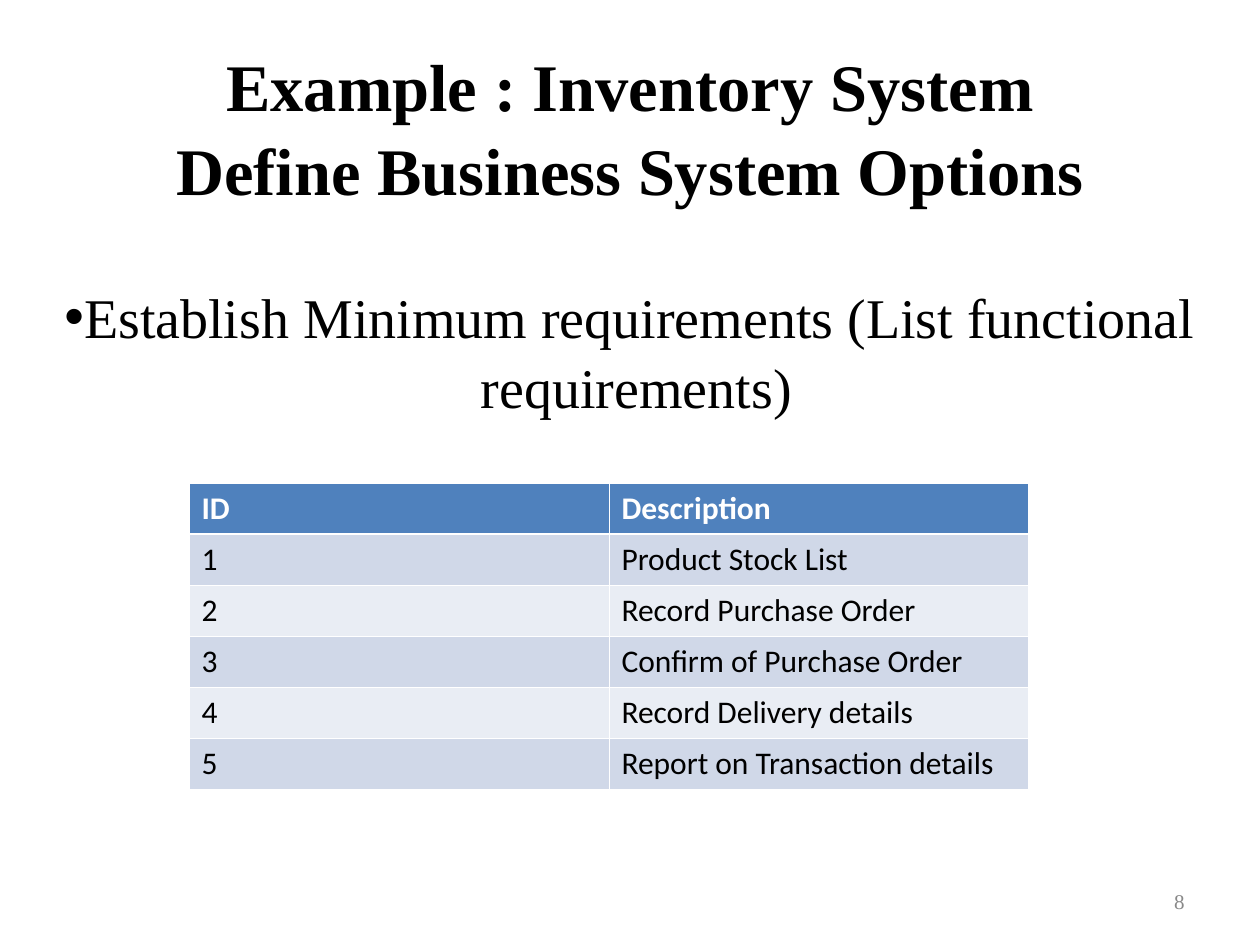
from dataclasses import dataclass

from lxml.etree import SubElement
from pptx import Presentation
from pptx.dml.color import RGBColor
from pptx.enum.text import MSO_ANCHOR, MSO_AUTO_SIZE, PP_ALIGN
from pptx.oxml.ns import qn
from pptx.util import Cm, Pt


@dataclass(frozen=True)
class Theme:
    """Hold the fonts, sizes and colours of the slide."""
    serif: str = "Times New Roman"
    sans: str = "Calibri"
    title: int = 38
    body: int = 32
    cell: int = 18
    note: int = 12
    black: str = "000000"
    white: str = "FFFFFF"
    grey: str = "898989"
    head: str = "4F81BD"
    bands: tuple = ("D0D8E8", "E9EDF4")
    thin: float = 0.45
    thick: float = 1.5


THEME = Theme()
ROWS = [
    ("ID", "Description"),
    ("1", "Product Stock List"),
    ("2", "Record Purchase Order"),
    ("3", "Confirm of Purchase Order"),
    ("4", "Record Delivery details"),
    ("5", "Report on Transaction details"),
]


def style(frame, font, size, color, bold=False, align=PP_ALIGN.LEFT):
    """Format every paragraph and run of a text frame."""
    for para in frame.paragraphs:
        para.alignment = align
        for run in para.runs:
            run.font.name = font
            run.font.size = Pt(size)
            run.font.bold = bold
            run.font.color.rgb = RGBColor.from_string(color)


def place(shape, left, top, width, height):
    """Set the position and size of a shape in centimetres."""
    shape.left, shape.top = Cm(left), Cm(top)
    shape.width, shape.height = Cm(width), Cm(height)


def hang(frame):
    """Give paragraphs a small hanging indent and looser lines."""
    for para in frame.paragraphs:
        para.line_spacing = 1.05
        props = para._p.get_or_add_pPr()
        props.set("marL", str(Cm(0.25)))
        props.set("indent", str(-Cm(0.25)))


def add_title(slide, text):
    """Fill and format the title placeholder."""
    shape = slide.shapes.title
    place(shape, 0.64, 0.7, 24.13, 3.6)
    frame = shape.text_frame
    frame.text = text
    frame.auto_size = MSO_AUTO_SIZE.NONE
    frame.vertical_anchor = MSO_ANCHOR.TOP
    style(frame, THEME.serif, THEME.title, THEME.black, True, PP_ALIGN.CENTER)
    hang(frame)


def add_text(slide, text, box, size, color, align):
    """Add a wrapped text box and return its frame."""
    frame = slide.shapes.add_textbox(*map(Cm, box)).text_frame
    frame.word_wrap = True
    frame.text = text
    style(frame, THEME.serif, size, color, align=align)
    return frame


def add_bullet(frame):
    """Put a round bullet before each paragraph."""
    hang(frame)
    for para in frame.paragraphs:
        props = para._p.get_or_add_pPr()
        SubElement(props, qn("a:buFont")).set("typeface", "Arial")
        SubElement(props, qn("a:buChar")).set("char", "•")


def add_edge(cell, side, width):
    """Draw one white border of a cell."""
    line = SubElement(cell._tc.get_or_add_tcPr(), qn(f"a:{side}"))
    line.set("w", str(Pt(width)))
    fill = SubElement(line, qn("a:solidFill"))
    SubElement(fill, qn("a:srgbClr")).set("val", THEME.white)


def paint(cell, row):
    """Format a cell according to its row."""
    head = row == 0
    edges = {
        "lnL": THEME.thin,
        "lnR": THEME.thin,
        "lnT": THEME.thick if row == 1 else THEME.thin,
        "lnB": THEME.thick if head else THEME.thin,
    }
    for side, width in edges.items():
        add_edge(cell, side, width)
    color = THEME.head if head else THEME.bands[(row - 1) % 2]
    cell.fill.solid()
    cell.fill.fore_color.rgb = RGBColor.from_string(color)
    ink = THEME.white if head else THEME.black
    style(cell.text_frame, THEME.sans, THEME.cell, ink, head)


def add_grid(slide, rows):
    """Add the table of functional requirements."""
    box = map(Cm, (3.81, 9.74, 16.93, 6.17))
    grid = slide.shapes.add_table(len(rows), len(rows[0]), *box).table
    for row, texts in enumerate(rows):
        for col, text in enumerate(texts):
            cell = grid.cell(row, col)
            cell.text = text
            paint(cell, row)


def main():
    """Build and save the slide."""
    deck = Presentation()
    deck.slide_width, deck.slide_height = Cm(25.4), Cm(19.05)
    slide = deck.slides.add_slide(deck.slide_layouts[5])
    add_title(slide, "Example : Inventory System\nDefine Business System Options")
    need = "Establish Minimum requirements (List functional requirements)"
    frame = add_text(slide, need, (0.64, 5.5, 24.13, 3), THEME.body,
                     THEME.black, PP_ALIGN.CENTER)
    add_bullet(frame)
    add_grid(slide, ROWS)
    frame = add_text(slide, "8", (18.2, 17.66, 5.93, 1.01), THEME.note,
                     THEME.grey, PP_ALIGN.RIGHT)
    frame.vertical_anchor = MSO_ANCHOR.MIDDLE
    deck.save("out.pptx")


if __name__ == "__main__":
    main()
